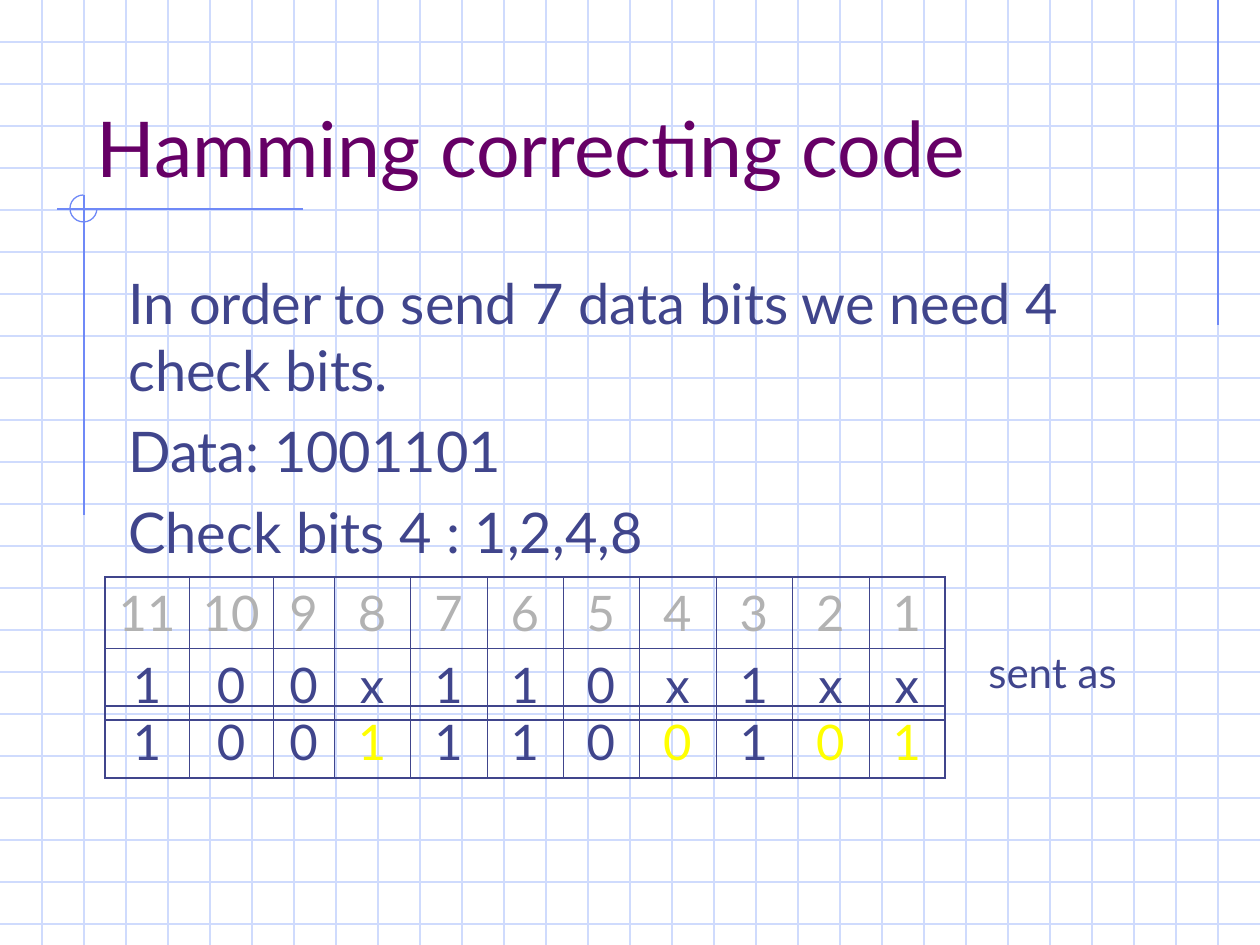
from lxml import etree
from pptx import Presentation
from pptx.dml.color import RGBColor
from pptx.enum.shapes import MSO_CONNECTOR, MSO_SHAPE
from pptx.enum.text import MSO_ANCHOR, PP_ALIGN
from pptx.oxml.ns import qn
from pptx.util import Pt

PX = 914400 / 126
SLIDE_W, SLIDE_H = 1260, 945
GRID_STEP = 42
FONT = "Lato"

GRID_BLUE = RGBColor(0xCF, 0xDB, 0xFD)
ACCENT_BLUE = RGBColor(0x6F, 0x89, 0xF7)
PURPLE = RGBColor(0x66, 0x00, 0x66)
INDIGO = RGBColor(0x40, 0x45, 0x8C)
GRAY = RGBColor(0xB2, 0xB2, 0xB2)
YELLOW = RGBColor(0xFF, 0xFF, 0x00)

STRAIGHT = MSO_CONNECTOR.STRAIGHT
ARC = MSO_SHAPE.ARC
TOP, BOTTOM = MSO_ANCHOR.TOP, MSO_ANCHOR.BOTTOM
LEFT, CENTER = PP_ALIGN.LEFT, PP_ALIGN.CENTER

LINE_WIDTH = 0.74
OUTER_BORDER, INNER_BORDER = 1.08, 0.45

POSITIONS = [str(n) for n in range(11, 0, -1)]
CHECK_POSITIONS = {"1", "2", "4", "8"}
DATA_BITS = "100x110x1xx"
SENT_BITS = "10011100101"
# Three wider-set columns, then eight equal ones
COLUMN_EDGES = [0, 84, 168] + [round(229 + 611 * i / 8) for i in range(9)]


def emu(pixels):
    return round(pixels * PX)


def write_text(frame, paragraphs, size, color, align=LEFT, before=0):
    for index, words in enumerate(paragraphs):
        paragraph = frame.add_paragraph() if index else frame.paragraphs[0]
        paragraph.alignment = align
        paragraph.space_before = Pt(before)
        run = paragraph.add_run()
        run.text = words
        run.font.name = FONT
        run.font.size = Pt(size)
        run.font.color.rgb = color


def add_text(slide, box, paragraphs, anchor=TOP, **text_format):
    frame = slide.shapes.add_textbox(*map(emu, box)).text_frame
    frame.word_wrap = True
    frame.vertical_anchor = anchor
    write_text(frame, paragraphs, **text_format)


def add_line(slide, start, end, color):
    line = slide.shapes.add_connector(STRAIGHT, *map(emu, start + end))
    line.line.color.rgb = color
    line.line.width = Pt(LINE_WIDTH)
    etree.SubElement(line._element.spPr, qn("a:effectLst"))


def add_background_grid(slide):
    for y in range(GRID_STEP, SLIDE_H, GRID_STEP):
        add_line(slide, (0, y), (SLIDE_W, y), GRID_BLUE)
    for x in range(GRID_STEP, SLIDE_W, GRID_STEP):
        add_line(slide, (x, 0), (x, SLIDE_H), GRID_BLUE)


def add_accents(slide):
    add_line(slide, (1218, 0), (1218, 325), ACCENT_BLUE)
    add_line(slide, (303, 209), (57, 209), ACCENT_BLUE)
    add_line(slide, (84, 195), (84, 515), ACCENT_BLUE)

    # Three-quarter circle, clockwise from the right to the top
    arc = slide.shapes.add_shape(ARC, *map(emu, (70, 195, 27, 27)))
    arc.adjustments[0] = 0
    arc.adjustments[1] = 162
    arc.shadow.inherit = False
    arc.fill.background()
    arc.line.color.rgb = ACCENT_BLUE
    arc.line.width = Pt(LINE_WIDTH)


def set_borders(cell, widths):
    properties = cell._tc.get_or_add_tcPr()
    for index, (side, width) in enumerate(widths.items()):
        border = etree.Element(qn(f"a:ln{side}"), w=str(Pt(width)))
        fill = etree.SubElement(border, qn("a:solidFill"))
        etree.SubElement(fill, qn("a:srgbClr"), val=str(INDIGO))
        properties.insert(index, border)


def add_bit_table(slide, top, row_heights, rows):
    """Each row is a list of (bit, color) pairs."""
    last_row, last_column = len(rows) - 1, len(COLUMN_EDGES) - 2
    box = (105, top, COLUMN_EDGES[-1], sum(row_heights))
    table = slide.shapes.add_table(
        len(rows), last_column + 1, *map(emu, box)).table
    table.first_row = table.horz_banding = False

    for column, left, right in zip(table.columns, COLUMN_EDGES, COLUMN_EDGES[1:]):
        column.width = emu(right - left)
    for r, (height, bits) in enumerate(zip(row_heights, rows)):
        table.rows[r].height = emu(height)
        for c, (bit, color) in enumerate(bits):
            cell = table.cell(r, c)
            cell.fill.background()
            write_text(cell.text_frame, [bit], size=28, color=color,
                       align=CENTER, before=7)
            on_edge = {"L": c == 0, "R": c == last_column,
                       "T": r == 0, "B": r == last_row}
            set_borders(cell, {side: OUTER_BORDER if outer else INNER_BORDER
                               for side, outer in on_edge.items()})


def main():
    presentation = Presentation()
    presentation.slide_width = emu(SLIDE_W)
    presentation.slide_height = emu(SLIDE_H)
    slide = presentation.slides.add_slide(presentation.slide_layouts[6])

    # Backdrop
    add_background_grid(slide)
    add_accents(slide)

    # Title and explanation
    add_text(slide, (84, 42, 1071, 157), ["Hamming correcting code"],
             anchor=BOTTOM, size=44, color=PURPLE)
    add_text(slide, (116, 262, 1071, 315),
             ["In order to send 7 data bits we need 4 check bits.",
              "Data: 1001101",
              "Check bits 4 : 1,2,4,8"],
             size=32, color=INDIGO, before=8)

    # Bit positions with the data, then the word that is sent
    position_row = [(position, GRAY) for position in POSITIONS]
    data_row = [(bit, INDIGO) for bit in DATA_BITS]
    sent_row = [(bit, YELLOW if position in CHECK_POSITIONS else INDIGO)
                for position, bit in zip(POSITIONS, SENT_BITS)]
    add_bit_table(slide, 577, [63, 62], [position_row, data_row])
    add_bit_table(slide, 706, [72], [sent_row])

    add_text(slide, (976, 640, 221, 63), ["sent as"],
             size=24, color=INDIGO, before=15)

    presentation.save("out.pptx")


main()
